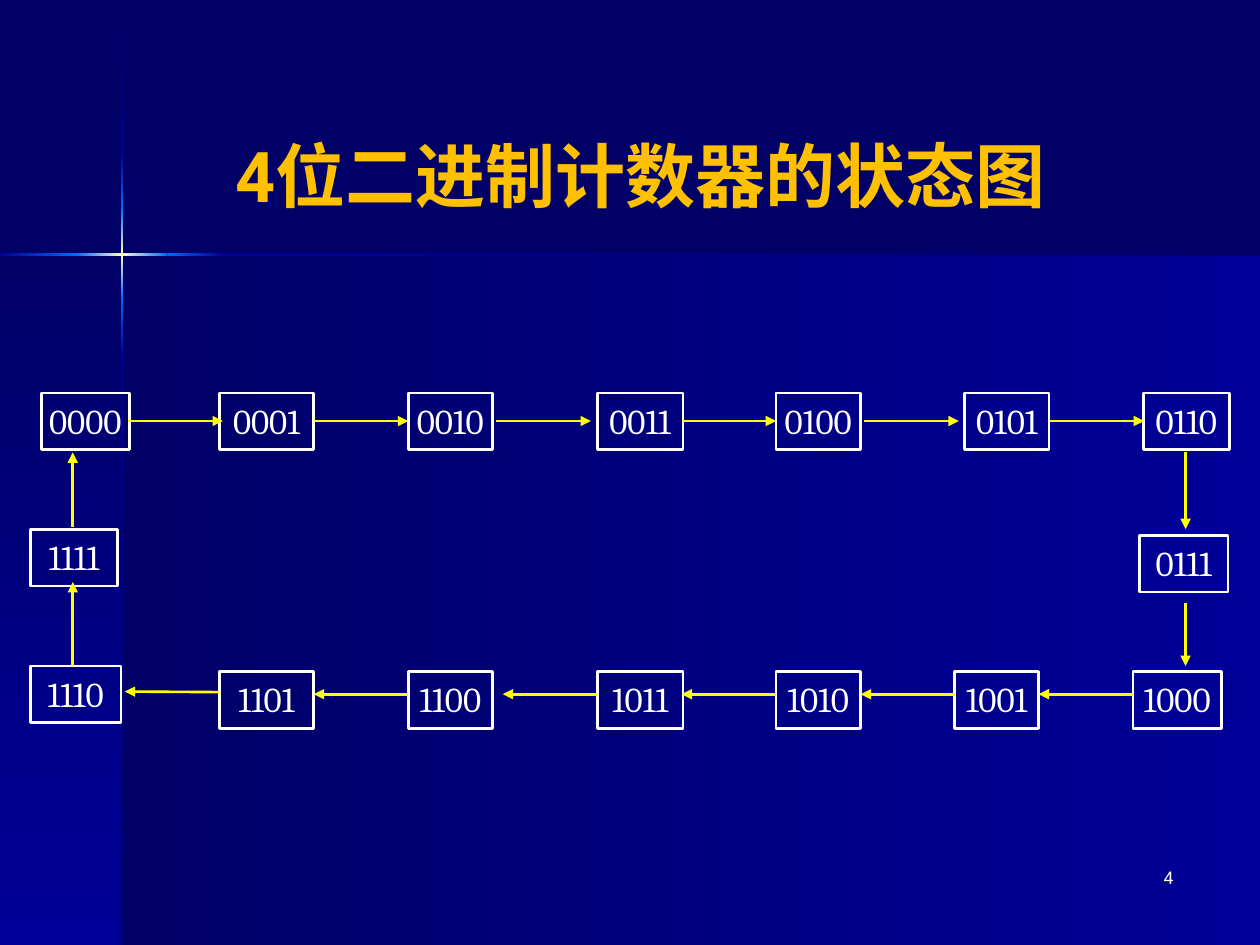
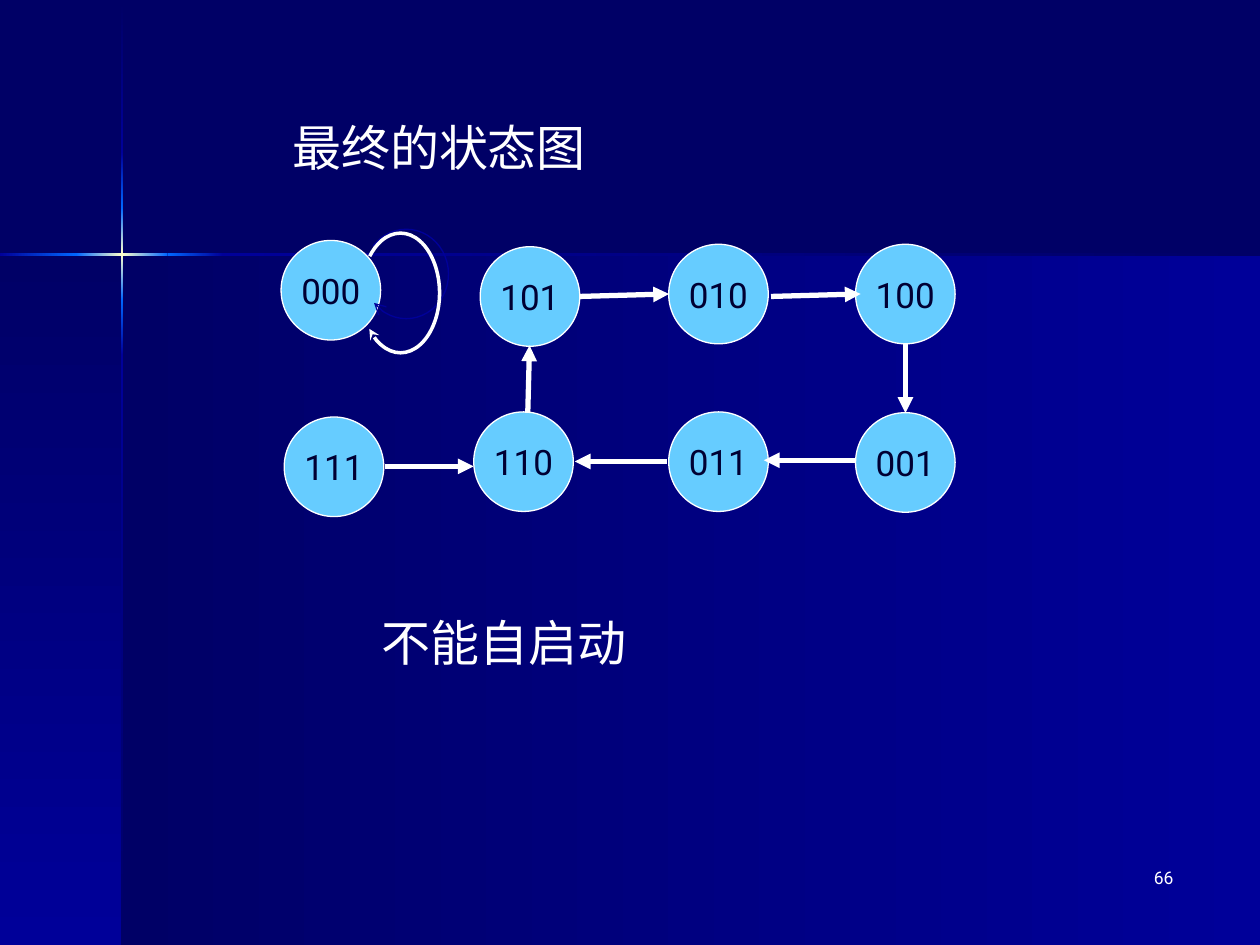
"""Two slides of counter state diagrams on a shared blue template."""
from itertools import pairwise
from typing import NamedTuple

from lxml.etree import SubElement
from pptx import Presentation
from pptx.dml.color import RGBColor
from pptx.enum.shapes import MSO_CONNECTOR, MSO_SHAPE as SHAPE
from pptx.enum.text import MSO_ANCHOR as ANCHOR, MSO_AUTO_SIZE as FIT, PP_ALIGN as ALIGN
from pptx.oxml.ns import qn
from pptx.util import Pt

COLOURS = {
    "night": "000066", "blue": "000099", "glow": "0066FF", "spark": "FFFFCC",
    "gold": "FFC000", "yellow": "FFFF00", "white": "FFFFFF", "sky": "66CCFF",
    "ink": "000033",
}
SANS, SERIF = "Roboto", "Cambria"
WIDTH, HEIGHT = 720, 540
BEAM = 1.4
BOX_HEIGHT, STEP = 32.4, 54
DIAMETER = 56.9


class Box(NamedTuple):
    left: float
    top: float
    width: float
    height: float


class Band(NamedTuple):
    box: Box
    stops: tuple[str, ...]
    angle: int = 0


class State(NamedTuple):
    code: str
    left: float
    top: float
    width: float = DIAMETER


class Arrow(NamedTuple):
    x1: float
    y1: float
    x2: float
    y2: float


class Loop(NamedTuple):
    box: Box
    start: float
    end: float
    colour: str
    weight: float
    tip: str


BEAM_STOPS = [("night", "blue"), ("blue", "glow"), ("glow", "spark", "glow"),
              ("glow", "blue"), ("blue", "night")]
VERTICAL_CUTS = [0.7, 87.1, 118.8, 171.4, 203, HEIGHT]
HORIZONTAL_CUTS = [0, 43.6, 95.8, 127.4, WIDTH]
BANDS = [
    Band(Box(70, 145.4, 650, 394.6), ("night", "blue")),
    Band(Box(0, 145.4, 70, 394.6), ("night", "blue"), 90),
    *(Band(Box(69.1, a, BEAM, b - a), stops, 90)
      for (a, b), stops in zip(pairwise(VERTICAL_CUTS), BEAM_STOPS)),
    *(Band(Box(a, 144.7, b - a, BEAM), stops)
      for (a, b), stops in zip(pairwise(HORIZONTAL_CUTS), BEAM_STOPS[1:])),
]

TOP_ROW, BOTTOM_ROW = 224.6, 383.8
COUNTER_STATES = [
    State("0000", 23.6, TOP_ROW, 50.4),
    State("0001", 125.3, TOP_ROW, 54),
    State("0010", 233.3, TOP_ROW, 48.2),
    State("0011", 341.3, TOP_ROW, 49),
    State("0100", 443.5, TOP_ROW, 48.2),
    State("0101", 551.3, TOP_ROW, 48.2),
    State("0110", 653.4, TOP_ROW, 49),
    State("0111", 651.3, 306, 50.4),
    State("1000", 647.5, BOTTOM_ROW, 50.4),
    State("1001", 545.4, BOTTOM_ROW, 48.2),
    State("1010", 443.5, BOTTOM_ROW, 48.2),
    State("1011", 341.3, BOTTOM_ROW, 49),
    State("1100", 233.3, BOTTOM_ROW, 48.2),
    State("1101", 125.3, BOTTOM_ROW, 54),
    State("1110", 17.4, 380.6, 51.8),
    State("1111", 17.4, 302.5, 49.7),
]
COUNTER_ARROWS = [
    *(Arrow(x, 240.6, x + STEP, 240.6) for x in (73.4, 179.3, 283.7, 389.5, 493.9, 599.8)),
    Arrow(677.5, 258.5, 677.5, 302.4),
    Arrow(677.5, 344.6, 677.5, 380.6),
    *(Arrow(x + STEP, 396.7, x, 396.7) for x in (593.5, 491.8, 389.5, 287.3, 179.3)),
    Arrow(125.3, 395.5, 71.3, 395.2),
    Arrow(41.6, 380.6, 41.6, 332.6),
    Arrow(41.6, 301, 41.6, 258.5),
]

FINAL_STATES = [
    State("000", 160.6, 137.4), State("101", 274.4, 141), State("010", 382.1, 139.6),
    State("100", 488.9, 139.6), State("001", 488.9, 235.8), State("011", 382.1, 235.4),
    State("110", 270.7, 235.4), State("111", 162.4, 238.3),
]
FINAL_ARROWS = [
    Arrow(331.2, 169.4, 382.3, 168), Arrow(440.6, 169.4, 491.8, 168),
    Arrow(517.4, 196.6, 517.4, 236), Arrow(488.9, 263, 436.5, 263),
    Arrow(381, 263.7, 328.5, 263.7), Arrow(301.6, 236, 302.6, 197.4),
    Arrow(219.8, 266.5, 270.7, 266.5),
]
LOOPS = [
    Loop(Box(208, 131, 48.3, 51.1), 220, 138, "blue", 0.75, "arrow"),
    Loop(Box(206.6, 133.2, 44.6, 68.4), 230, 131, "white", 2, "stealth"),
]


def rgb(name: str) -> RGBColor:
    return RGBColor.from_string(COLOURS[name])


def points(box: Box) -> list[Pt]:
    return [Pt(value) for value in box]


def write(frame, text: str, *, size: float, font: str = SANS, colour: str = "white",
          bold: bool = False, align=ALIGN.LEFT, anchor=ANCHOR.TOP,
          insets: tuple[float, float] = (7.2, 3.6), wrap: bool = True) -> None:
    frame.auto_size = FIT.NONE
    frame.word_wrap = wrap
    frame.vertical_anchor = anchor
    frame.margin_left = frame.margin_right = Pt(insets[0])
    frame.margin_top = frame.margin_bottom = Pt(insets[1])
    paragraph = frame.paragraphs[0]
    paragraph.alignment = align
    paragraph.space_before = Pt(0)
    run = paragraph.add_run()
    run.text = text
    run.font.name = font
    run.font.size = Pt(size)
    run.font.bold = bold
    run.font.color.rgb = rgb(colour)


def add_text(slide, box: Box, text: str, **style) -> None:
    write(slide.shapes.add_textbox(*points(box)).text_frame, text, **style)


def add_title(slide, box: Box, text: str, **style) -> None:
    title = slide.shapes.title
    title.left, title.top, title.width, title.height = points(box)
    write(title.text_frame, text, **style)


def add_outline(slide, kind, box: Box, line: str | None, weight: float = 0,
                fill: str | None = None):
    shape = slide.shapes.add_shape(kind, *points(box))
    shape.shadow.inherit = False
    if fill:
        shape.fill.solid()
        shape.fill.fore_color.rgb = rgb(fill)
    else:
        shape.fill.background()
    if line:
        shape.line.color.rgb = rgb(line)
        shape.line.width = Pt(weight)
    else:
        shape.line.fill.background()
    return shape


def add_band(slide, band: Band):
    shape = add_outline(slide, SHAPE.RECTANGLE, band.box, None)
    shape.fill.gradient()
    shape.fill.gradient_angle = -band.angle % 360
    stop_list = shape.element.spPr.find(qn("a:gradFill")).find(qn("a:gsLst"))
    for stop in list(stop_list):
        stop_list.remove(stop)
    for index, name in enumerate(band.stops):
        position = 100000 * index // (len(band.stops) - 1)
        stop = SubElement(stop_list, qn("a:gs"), pos=str(position))
        SubElement(stop, qn("a:srgbClr"), val=COLOURS[name])
    return shape


def add_tip(shape, tip: str) -> None:
    SubElement(shape.element.spPr.find(qn("a:ln")), qn("a:tailEnd"), type=tip)


def add_arrow(slide, arrow: Arrow, colour: str, weight: float) -> None:
    connector = slide.shapes.add_connector(MSO_CONNECTOR.STRAIGHT, *(Pt(v) for v in arrow))
    connector.line.color.rgb = rgb(colour)
    connector.line.width = Pt(weight)
    add_tip(connector, "triangle")
    SubElement(connector.element.spPr, qn("a:effectLst"))


def add_loop(slide, loop: Loop) -> None:
    arc = add_outline(slide, SHAPE.ARC, loop.box, loop.colour, loop.weight)
    arc.adjustments[0] = loop.start * 0.6
    arc.adjustments[1] = loop.end * 0.6
    add_tip(arc, loop.tip)


def dress_master(master, slide) -> None:
    master.background.fill.solid()
    master.background.fill.fore_color.rgb = rgb("night")
    for index, band in enumerate(BANDS):
        element = add_band(slide, band).element
        element.nvSpPr.cNvPr.set("id", str(100 + index))
        master.shapes.element.insert(2 + index, element)


def add_page_number(slide, number: int) -> None:
    add_text(slide, Box(527.8, 491.8, 149.8, 36), str(number), size=10, align=ALIGN.RIGHT)


def fill_counter_slide(slide) -> None:
    add_title(slide, Box(36, 69.8, 660, 59.8), "4位二进制计数器的状态图", size=40,
              colour="gold", bold=True, align=ALIGN.CENTER, anchor=ANCHOR.MIDDLE)
    add_page_number(slide, 4)
    for state in COUNTER_STATES:
        box = Box(state.left, state.top, state.width, BOX_HEIGHT)
        cell = add_outline(slide, SHAPE.RECTANGLE, box, "white", 1.5)
        write(cell.text_frame, state.code, size=20, font=SERIF, align=ALIGN.CENTER,
              insets=(0, 3.6), wrap=False)
    for arrow in COUNTER_ARROWS:
        add_arrow(slide, arrow, "yellow", 1.5)


def fill_final_slide(slide) -> None:
    add_title(slide, Box(159.8, 63.4, 255.6, 41), "最终的状态图", size=28)
    add_page_number(slide, 66)
    for state in FINAL_STATES:
        box = Box(state.left, state.top, state.width, DIAMETER)
        circle = add_outline(slide, SHAPE.OVAL, box, "white", 0.75, "sky")
        write(circle.text_frame, state.code, size=20, colour="ink", align=ALIGN.CENTER,
              anchor=ANCHOR.MIDDLE, insets=(0, 0), wrap=False)
    for arrow in FINAL_ARROWS:
        add_arrow(slide, arrow, "white", 3)
    for loop in LOOPS:
        add_loop(slide, loop)
    add_text(slide, Box(211, 346.3, 255.6, 41), "不能自启动", size=28)


def main() -> None:
    deck = Presentation()
    deck.slide_width, deck.slide_height = Pt(WIDTH), Pt(HEIGHT)
    title_only = deck.slide_layouts[5]
    counter, final = (deck.slides.add_slide(title_only) for _ in range(2))
    dress_master(deck.slide_master, counter)
    fill_counter_slide(counter)
    fill_final_slide(final)
    deck.save("out.pptx")


if __name__ == "__main__":
    main()
